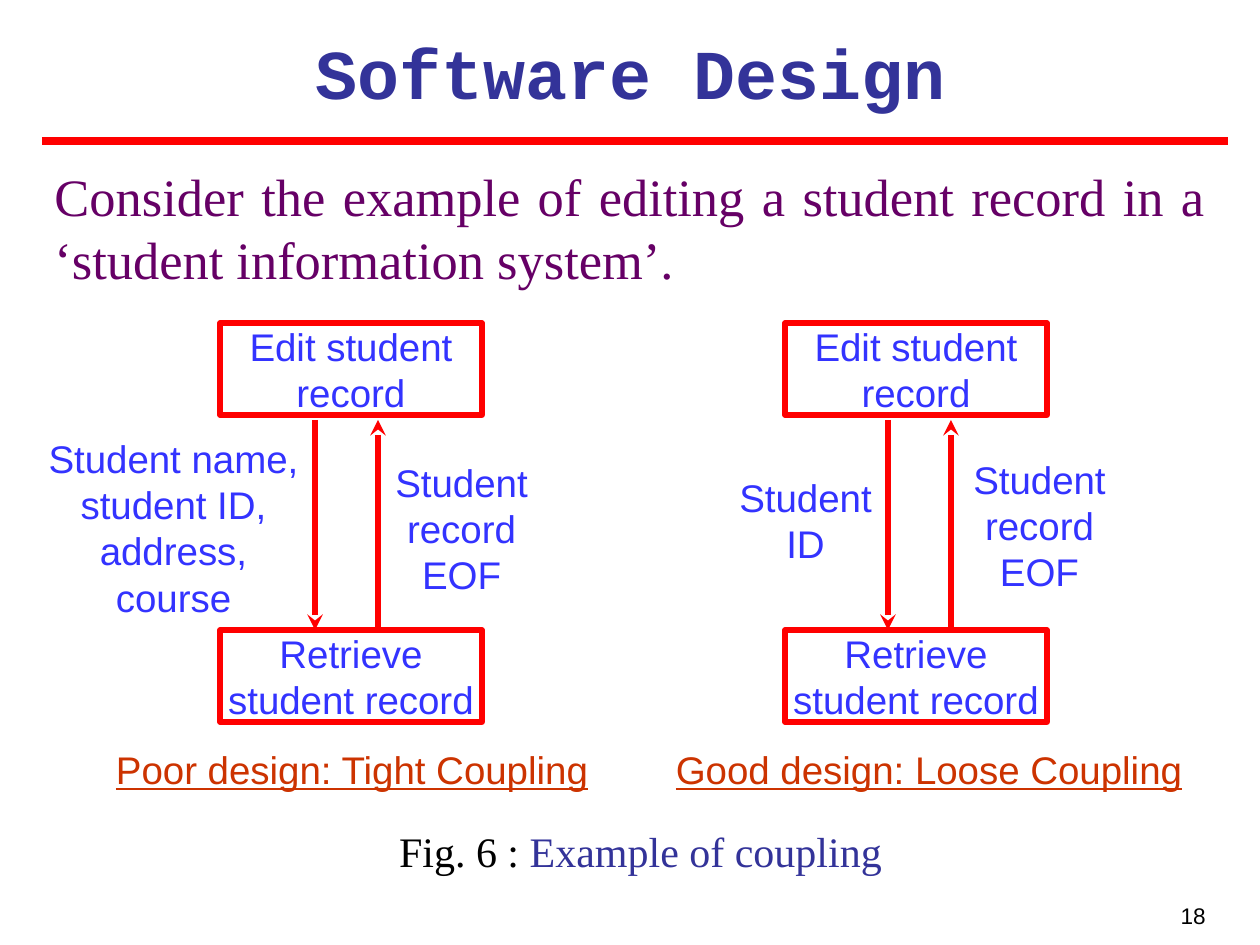
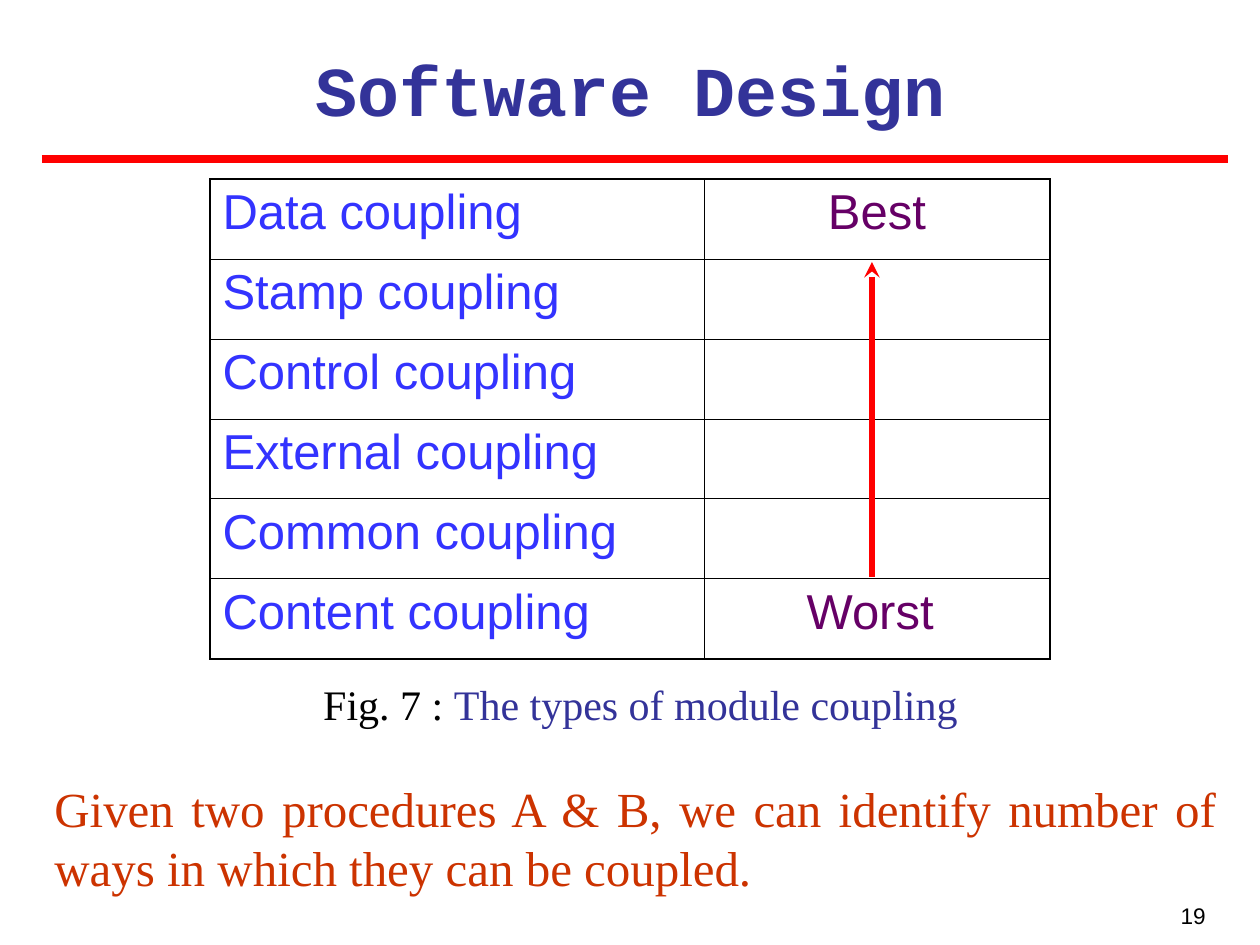
"""Build two software design slides about module coupling."""
from lxml import etree
from pptx import Presentation
from pptx.dml.color import RGBColor
from pptx.enum.shapes import MSO_CONNECTOR, MSO_SHAPE
from pptx.enum.text import MSO_ANCHOR, PP_ALIGN
from pptx.oxml.ns import qn
from pptx.util import Emu, Pt

LEFT, CENTER, RIGHT, JUSTIFY = (
    PP_ALIGN.LEFT, PP_ALIGN.CENTER, PP_ALIGN.RIGHT, PP_ALIGN.JUSTIFY)
TOP = MSO_ANCHOR.TOP
RECTANGLE = MSO_SHAPE.RECTANGLE
STRAIGHT = MSO_CONNECTOR.STRAIGHT

PIXELS_PER_INCH = 126
SLIDE_SIZE = (1260, 945)
COLORS = {
    "title": "333399",
    "accent": "FF0000",
    "label": "3333FF",
    "purple": "660066",
    "orange": "CC3300",
    "black": "000000",
}
SANS, SERIF, MONO = "Arial", "Times New Roman", "Courier New"
STYLES = {
    "title": (MONO, 40, "title"),
    "number": (SANS, 12.9, "black"),
    "intro": (SERIF, 30, "purple"),
    "closing": (SERIF, 28, "orange"),
    "figure": (SERIF, 24, "black"),
    "caption": (SERIF, 24, "title"),
    "label": (SANS, 22, "label"),
    "verdict": (SANS, 22, "orange"),
    "coupling": (SANS, 28, "label"),
    "rating": (SANS, 28, "purple"),
}

TITLE = "Software Design"
INTRO = ("Consider the example of editing a student record in a "
         "‘student information system’.")
CLOSING = ("Given two procedures A & B, we can identify number of ways "
           "in which they can be coupled.")

BOX_SIZE = (262, 92)
BOX_ROWS = [("Edit student record", 323), ("Retrieve student record", 630)]
ARROW_TOP, ARROW_BOTTOM, ARROW_GAP = 420, 630, 63
DESIGNS = [
    {
        "box_left": 220,
        "arrow_left": 315,
        "labels": [
            ("Student name, student ID, address, course", (42, 435, 263, 185)),
            ("Student record EOF", (388, 459, 147, 139)),
        ],
        "verdict": ("Poor design: Tight Coupling", (84, 746, 536, 46)),
    },
    {
        "box_left": 785,
        "arrow_left": 888,
        "labels": [
            ("Student ID", (732, 474, 147, 92)),
            ("Student record EOF", (966, 456, 147, 139)),
        ],
        "verdict": ("Good design: Loose Coupling", (661, 746, 536, 46)),
    },
]

COUPLINGS = [
    ("Data coupling", "Best"),
    ("Stamp coupling", ""),
    ("Control coupling", ""),
    ("External coupling", ""),
    ("Common coupling", ""),
    ("Content coupling", "Worst "),
]
TABLE_LEFT, TABLE_TOP, ROW_HEIGHT = 210, 179, 80
COLUMN_WIDTHS = (494, 346)
OUTER_BORDER, INNER_BORDER = 1.08, 0.45


def px(length):
    return Emu(round(length * 914400 / PIXELS_PER_INCH))


def color(name):
    return RGBColor.from_string(COLORS[name])


def write(frame, runs, alignment, underline=None):
    """Write (text, style) runs into the first paragraph of a frame."""
    paragraph = frame.paragraphs[0]
    paragraph.alignment = alignment
    for text, style in runs:
        name, size, color_name = STYLES[style]
        run = paragraph.add_run()
        run.text = text
        run.font.name = name
        run.font.size = Pt(size)
        run.font.color.rgb = color(color_name)
        run.font.underline = underline
        if style == "title":
            run.font.bold = True


def prepare(frame, inset):
    """Set wrapping, anchoring and margins of a text frame."""
    frame.word_wrap = True
    frame.vertical_anchor = TOP
    if not inset:
        frame.margin_left = frame.margin_right = 0
        frame.margin_top = frame.margin_bottom = 0


def add_text(slide, area, runs, alignment=CENTER, inset=True, underline=None):
    """Add a wrapped text box."""
    frame = slide.shapes.add_textbox(*map(px, area)).text_frame
    prepare(frame, inset)
    write(frame, runs, alignment, underline)


def add_box(slide, area, text):
    """Add an outlined process box."""
    shape = slide.shapes.add_shape(RECTANGLE, *map(px, area))
    shape.shadow.inherit = False
    shape.fill.background()
    shape.line.color.rgb = color("accent")
    shape.line.width = Pt(3)
    prepare(shape.text_frame, inset=False)
    write(shape.text_frame, [(text, "label")], CENTER)


def add_line(slide, start, end, width=3, arrow=True):
    """Add a red line, with an arrowhead at its end if wanted."""
    connector = slide.shapes.add_connector(STRAIGHT, *map(px, start + end))
    connector.line.color.rgb = color("accent")
    connector.line.width = Pt(width)
    properties = connector.element.spPr
    if arrow:
        line = properties.find(qn("a:ln"))
        etree.SubElement(line, qn("a:tailEnd"), type="stealth")
    etree.SubElement(properties, qn("a:effectLst"))


def add_frame(presentation, number, title_top, rule_top):
    """Add a slide with the shared title, rule and number."""
    slide = presentation.slides.add_slide(presentation.slide_layouts[6])
    add_text(slide, (924, 896, 294, 42), [(number, "number")], RIGHT)
    add_text(slide, (42, title_top, 1176, 97), [(TITLE, "title")])
    add_line(slide, (42, rule_top), (1228, rule_top), 4.5, arrow=False)
    return slide


def add_caption(slide, top, figure, caption):
    """Add a figure caption."""
    runs = [(figure, "figure"), (caption, "caption")]
    add_text(slide, (63, top, 1155, 63), runs)


def add_design(slide, design):
    """Add one coupling diagram with its verdict."""
    for text, top in BOX_ROWS:
        add_box(slide, (design["box_left"], top) + BOX_SIZE, text)
    down = design["arrow_left"]
    up = down + ARROW_GAP
    add_line(slide, (down, ARROW_TOP), (down, ARROW_BOTTOM))
    add_line(slide, (up, ARROW_BOTTOM), (up, ARROW_TOP))
    for text, area in design["labels"]:
        add_text(slide, area, [(text, "label")], inset=False)
    text, area = design["verdict"]
    add_text(slide, area, [(text, "verdict")], inset=False, underline=True)


def set_borders(cell, outer_sides):
    """Draw black cell borders, heavier on the outer sides."""
    properties = cell._tc.get_or_add_tcPr()
    for side in "LRTB":
        width = OUTER_BORDER if side in outer_sides else INNER_BORDER
        line = etree.SubElement(
            properties, qn(f"a:ln{side}"), w=str(int(Pt(width))))
        fill = etree.SubElement(line, qn("a:solidFill"))
        etree.SubElement(fill, qn("a:srgbClr"), val=COLORS["black"])


def add_coupling_table(slide):
    """Add the table that ranks the coupling types."""
    rows, columns = len(COUPLINGS), len(COLUMN_WIDTHS)
    area = (TABLE_LEFT, TABLE_TOP, sum(COLUMN_WIDTHS), rows * ROW_HEIGHT)
    table = slide.shapes.add_table(rows, columns, *map(px, area)).table
    table.first_row = table.horz_banding = False
    for column, width in zip(table.columns, COLUMN_WIDTHS):
        column.width = px(width)
    formats = [("coupling", LEFT), ("rating", CENTER)]
    for row_index, texts in enumerate(COUPLINGS):
        table.rows[row_index].height = px(ROW_HEIGHT)
        vertical = {0: "T", rows - 1: "B"}.get(row_index, "")
        for column_index, text in enumerate(texts):
            cell = table.cell(row_index, column_index)
            set_borders(cell, vertical + "LR"[column_index])
            cell.fill.background()
            style, alignment = formats[column_index]
            if text:
                write(cell.text_frame, [(text, style)], alignment)


def main():
    presentation = Presentation()
    presentation.slide_width, presentation.slide_height = map(px, SLIDE_SIZE)

    slide = add_frame(presentation, "18", title_top=23, rule_top=141)
    add_text(slide, (42, 158, 1176, 139), [(INTRO, "intro")], JUSTIFY)
    for design in DESIGNS:
        add_design(slide, design)
    add_caption(slide, 819, "Fig. 6 : ", "Example of coupling")

    slide = add_frame(presentation, "19", title_top=40, rule_top=159)
    add_coupling_table(slide)
    add_line(slide, (872, 577), (872, 262))
    add_caption(slide, 672, "Fig. 7 : ", "The types of module coupling")
    add_text(slide, (42, 772, 1187, 131), [(CLOSING, "closing")], JUSTIFY)

    presentation.save("out.pptx")


if __name__ == "__main__":
    main()
